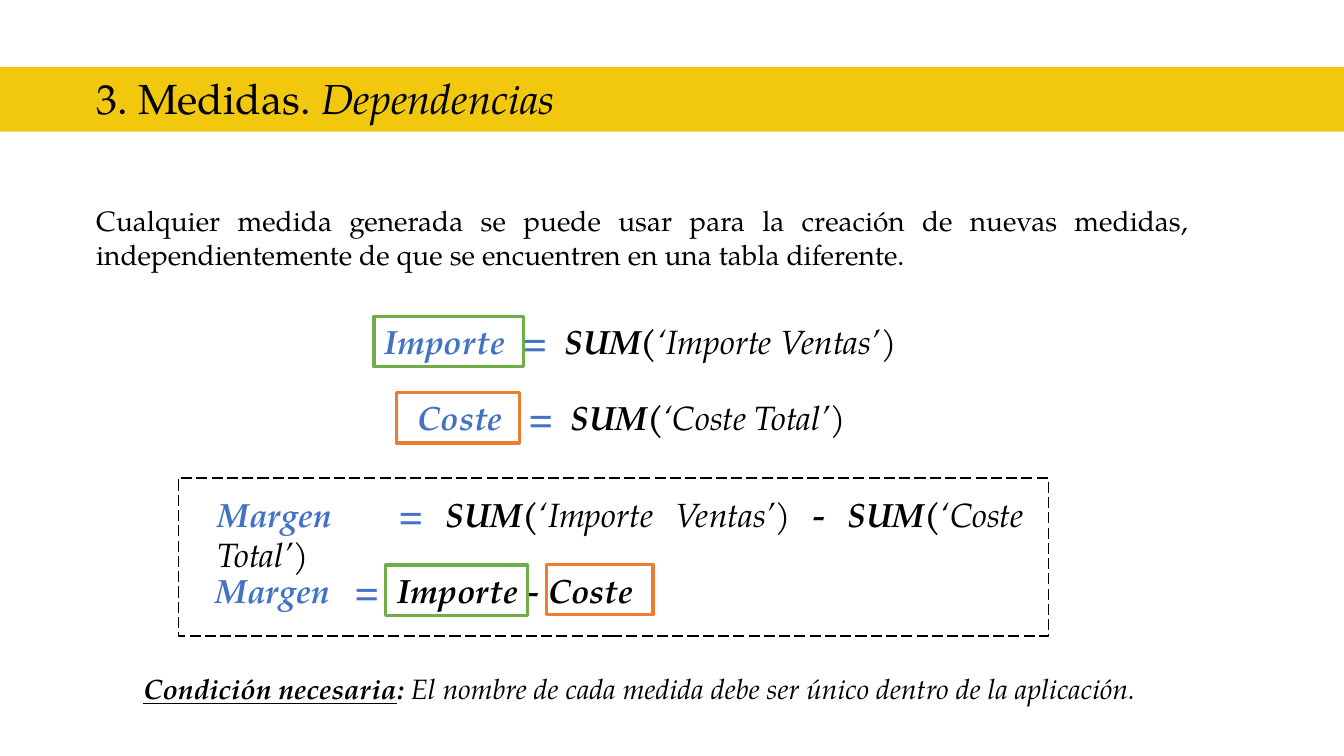
from dataclasses import dataclass

import pptx
import pptx.dml.color
import pptx.enum.dml
import pptx.enum.shapes
import pptx.enum.text
import pptx.oxml
import pptx.oxml.ns
import pptx.util

Pt = pptx.util.Pt
RGB = pptx.dml.color.RGBColor.from_string


@dataclass(frozen=True)
class Theme:
    font: str = "TeX Gyre Pagella"
    ink: str = "000000"
    band: str = "F2C80F"
    measure: str = "4472C4"
    importe: str = "70AD47"
    coste: str = "ED7D31"
    title_size: float = 30
    formula_size: float = 24
    body_size: float = 20
    highlight_width: float = 2.25
    frame_width: float = 1


THEME = Theme()
JUSTIFY = pptx.enum.text.PP_ALIGN.JUSTIFY
LEFT = pptx.enum.text.PP_ALIGN.LEFT
NAME = {"bold": True, "italic": True, "color": THEME.measure}
STRONG = {"bold": True, "italic": True}
ITALIC = {"italic": True}


def set_attributes(target, values):
    for name, value in values.items():
        setattr(target, name, value)


def place(box, area):
    set_attributes(box, dict(zip(("left", "top", "width", "height"), map(Pt, area))))


def add_span(para, text, style, size):
    span = para.add_run()
    span.text = text
    values = {"name": THEME.font, "size": Pt(size), "bold": False, "italic": False, **style}
    color = values.pop("color", THEME.ink)
    spacing = values.pop("spacing", 0)
    set_attributes(span.font, values)
    span.font.color.rgb = RGB(color)
    if spacing:
        span._r.get_or_add_rPr().set("spc", str(round(spacing * 100)))


def fill_text(box, spans, size, align=JUSTIFY, inset=7.2):
    frame = box.text_frame
    set_attributes(frame, {
        "word_wrap": True,
        "auto_size": pptx.enum.text.MSO_AUTO_SIZE.SHAPE_TO_FIT_TEXT,
        "vertical_anchor": pptx.enum.text.MSO_ANCHOR.TOP,
        "margin_left": Pt(inset),
        "margin_right": Pt(7.2),
        "margin_top": Pt(3.6),
        "margin_bottom": Pt(3.6),
    })
    para = frame.paragraphs[0]
    set_attributes(para, {"alignment": align, "space_before": Pt(0), "line_spacing": 1.0})
    for text, style in spans:
        add_span(para, text, style, size)


def fill_placeholder(box, area, spans, size, **options):
    place(box, area)
    fill_text(box, spans, size, **options)
    properties = box.text_frame.paragraphs[0]._p.get_or_add_pPr()
    properties.set("marL", "0")
    properties.set("indent", "0")
    namespace = pptx.oxml.ns.nsdecls("a")
    properties.append(pptx.oxml.parse_xml(f"<a:buNone {namespace}/>"))


def add_text(page, area, spans, size, **options):
    box = page.shapes.add_textbox(*map(Pt, area))
    fill_text(box, spans, size, **options)


def formula_spans(measure, gap_before, gap_after, expression):
    return [
        (measure, NAME),
        (" ", {**NAME, "spacing": gap_before}),
        ("=", NAME),
        (" ", {**NAME, "spacing": gap_after}),
        *expression,
    ]


def add_rectangle(page, area):
    box = page.shapes.add_shape(pptx.enum.shapes.MSO_SHAPE.RECTANGLE, *map(Pt, area))
    box.shadow.inherit = False
    return box


def add_band(page, area):
    band = add_rectangle(page, area)
    band.fill.solid()
    band.fill.fore_color.rgb = RGB(THEME.band)
    band.line.fill.background()
    band.element.getparent().insert(2, band.element)


def add_outline(page, area, color, width, dash=None):
    box = add_rectangle(page, area)
    box.fill.background()
    box.line.color.rgb = RGB(color)
    set_attributes(box.line, {"width": Pt(width), "dash_style": dash})


def main():
    deck = pptx.Presentation()
    set_attributes(deck, {"slide_width": Pt(960), "slide_height": Pt(540)})
    page = deck.slides.add_slide(deck.slide_layouts[1])

    add_band(page, (0, 48, 960, 46))
    fill_placeholder(page.shapes.title, (61.5, 48.2, 521.3, 43.6),
                     [("3. Medidas. ", {}), ("Dependencias", ITALIC)],
                     THEME.title_size, align=LEFT)
    fill_placeholder(page.placeholders[1], (61.5, 141.8, 794.9, 55.4),
                     [("Cualquier medida generada se puede usar para la creación de nuevas "
                       "medidas, independientemente de que se encuentren en una tabla "
                       "diferente.", {})], THEME.body_size)

    sum_importe = [("SUM(", STRONG), ("‘Importe Ventas’)", ITALIC)]
    sum_coste = [("SUM(", STRONG), ("‘Coste Total’)", ITALIC)]
    formulas = [
        ((146.9, 403.6, 346.3, 36), 7.2,
         formula_spans("Margen", 12, 6, [("Importe - Coste", STRONG)])),
        ((148.3, 349.2, 589.7, 36), 7.2,
         formula_spans("Margen", 32, 0, [*sum_importe, (" - ", STRONG), *sum_coste])),
        ((267.4, 225.8, 794.9, 36), 7.2, formula_spans("Importe", 6, 6, sum_importe)),
        ((267.4, 280.1, 794.9, 36), 31.2, formula_spans("Coste", 12, 6, sum_coste)),
    ]
    for area, inset, spans in formulas:
        add_text(page, area, spans, THEME.formula_size, inset=inset)

    highlights = [
        ((275.5, 403.6, 101.5, 36), THEME.importe),
        ((390.2, 403.2, 76.3, 36), THEME.coste),
        ((267.1, 226.1, 106.6, 36), THEME.importe),
        ((283, 280.5, 87.8, 36), THEME.coste),
    ]
    for area, color in highlights:
        add_outline(page, area, color, THEME.highlight_width)
    add_outline(page, (127.4, 341.5, 621.4, 113), THEME.ink, THEME.frame_width,
                pptx.enum.dml.MSO_LINE.LONG_DASH)

    add_text(page, (95.4, 475.9, 794.9, 31.7),
             [("Condición necesaria", {**STRONG, "underline": True}), (": ", STRONG),
              ("El nombre de cada medida debe ser único dentro de la aplicación.", ITALIC)],
             THEME.body_size)
    deck.save("out.pptx")


if __name__ == "__main__":
    main()
